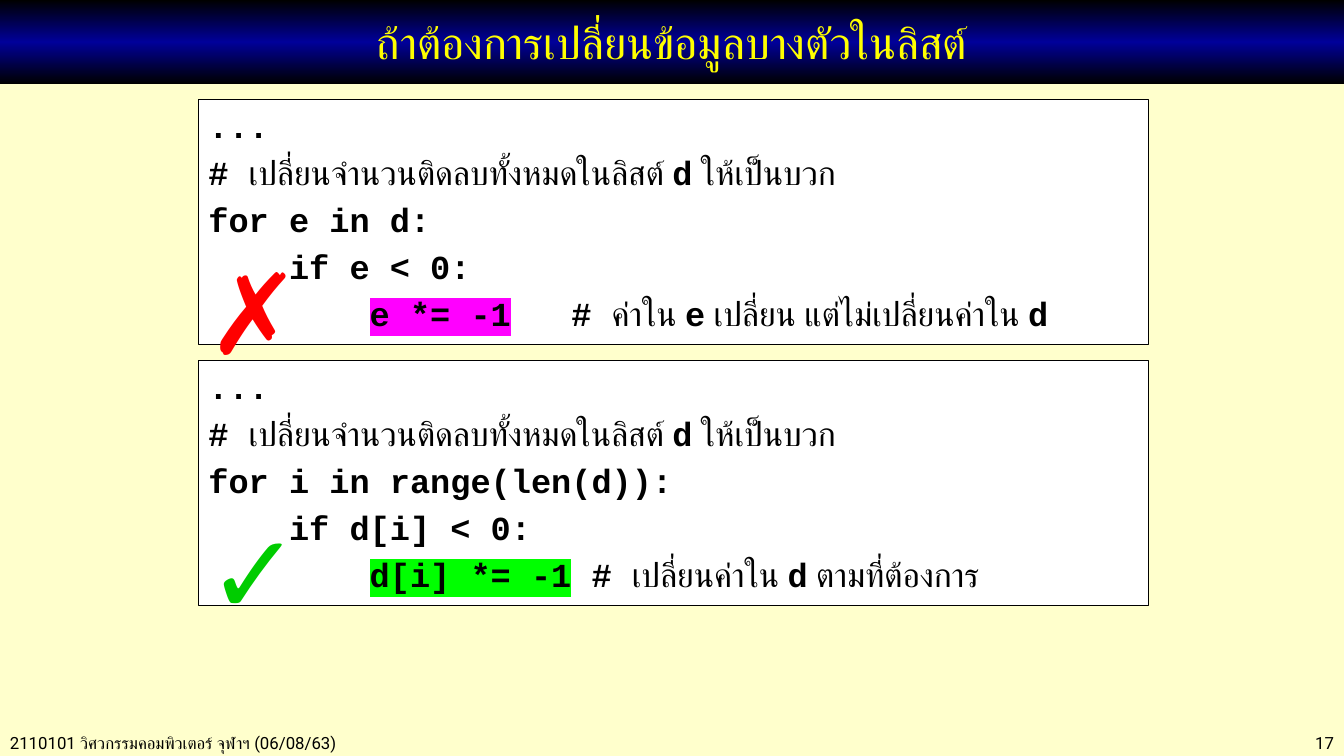
from copy import deepcopy

from lxml import etree
from pptx import Presentation
from pptx.dml.color import RGBColor
from pptx.enum.shapes import MSO_SHAPE
from pptx.enum.text import MSO_ANCHOR, PP_ALIGN
from pptx.oxml.ns import qn
from pptx.util import Pt

RECTANGLE = MSO_SHAPE.RECTANGLE
TOP, MIDDLE = MSO_ANCHOR.TOP, MSO_ANCHOR.MIDDLE
LEFT, CENTER, RIGHT = PP_ALIGN.LEFT, PP_ALIGN.CENTER, PP_ALIGN.RIGHT

COLORS = {
    "background": "FFFFCC", "black": "000000", "navy": "000099",
    "yellow": "FFFF00", "white": "FFFFFF", "wrong": "FF0000",
    "right": "00CC00", "magenta": "FF00FF", "lime": "00FF00",
}
TITLE_FONT, TEXT_FONT, CODE_FONT = "Calibri", "Roboto", "Courier New"
SLIDE_WIDTH, SLIDE_HEIGHT = 960, 540
BOX_LEFT, BOX_WIDTH, BOX_HEIGHT = 141.8, 678.6, 175


def rgb(name):
    return RGBColor.from_string(COLORS[name])


def code(text, highlight=None):
    return text, CODE_FONT, True, highlight


def thai(text):
    return text, TEXT_FONT, False, None


def add_run(paragraph, text, font_name, size, color="black", bold=False, highlight=None):
    run = paragraph.add_run()
    run.text = text
    font = run.font
    font.size, font.bold, font.name = Pt(size), bold, font_name
    font.color.rgb = rgb(color)
    properties = run._r.get_or_add_rPr()
    complex_font = etree.Element(qn("a:cs"), typeface=font_name)
    properties.find(qn("a:latin")).addnext(complex_font)
    if highlight:
        marker = etree.Element(qn("a:highlight"))
        etree.SubElement(marker, qn("a:srgbClr"), val=COLORS[highlight])
        properties.find(qn("a:solidFill")).addnext(marker)


def add_label(shapes, text, left, top, width, height, size, color="black",
              alignment=LEFT, wrap=True, anchor=TOP):
    box = shapes.add_textbox(Pt(left), Pt(top), Pt(width), Pt(height))
    frame = box.text_frame
    frame.word_wrap = wrap
    frame.vertical_anchor = anchor
    paragraph = frame.paragraphs[0]
    paragraph.alignment = alignment
    add_run(paragraph, text, TEXT_FONT, size, color)


def add_rectangle(shapes, left, top, width, height):
    shape = shapes.add_shape(RECTANGLE, Pt(left), Pt(top), Pt(width), Pt(height))
    shape.shadow.inherit = False
    shape.text_frame.word_wrap = True
    return shape


def add_title_bar(shapes, text):
    bar = add_rectangle(shapes, 0, 0, SLIDE_WIDTH, 60)
    bar.line.fill.background()
    bar.fill.gradient()
    bar.fill.gradient_angle = 270
    first_stop = bar._element.spPr.find(".//" + qn("a:gs"))
    first_stop.addnext(deepcopy(first_stop))
    for stop, position, color in zip(bar.fill.gradient_stops, (0, 0.5, 1),
                                     ("black", "navy", "black")):
        stop.position = position
        stop.color.rgb = rgb(color)
    bar.text_frame.vertical_anchor = MIDDLE
    paragraph = bar.text_frame.paragraphs[0]
    paragraph.alignment = CENTER
    add_run(paragraph, text, TITLE_FONT, 32, "yellow")


def add_example(slide, top, lines, mark, mark_color, mark_top, mark_width):
    """Group a code box with the mark that judges it."""
    shapes = slide.shapes.add_group_shape().shapes
    box = add_rectangle(shapes, BOX_LEFT, top, BOX_WIDTH, BOX_HEIGHT)
    box.fill.solid()
    box.fill.fore_color.rgb = rgb("white")
    box.line.color.rgb = rgb("black")
    box.line.width = Pt(0.75)
    frame = box.text_frame
    frame.vertical_anchor = TOP
    for index, line in enumerate(lines):
        paragraph = frame.add_paragraph() if index else frame.paragraphs[0]
        paragraph.alignment = LEFT
        if index:
            paragraph.space_before = Pt(4.8)
        for text, font_name, bold, highlight in line:
            add_run(paragraph, text, font_name, 24, bold=bold, highlight=highlight)
    add_label(shapes, mark, 141, mark_top, mark_width, 104.4, 80, mark_color, wrap=False)


def main():
    presentation = Presentation()
    presentation.slide_width, presentation.slide_height = Pt(SLIDE_WIDTH), Pt(SLIDE_HEIGHT)
    slide = presentation.slides.add_slide(presentation.slide_layouts[6])
    slide.background.fill.solid()
    slide.background.fill.fore_color.rgb = rgb("background")

    add_label(slide.shapes, "2110101 วิศวกรรมคอมพิวเตอร์ จุฬาฯ (06/08/63)",
              0, 520, 374.4, 21.6, 12, anchor=MIDDLE)
    add_label(slide.shapes, "17", 828, 520, 132, 21.6, 12, alignment=RIGHT, anchor=MIDDLE)
    add_title_bar(slide.shapes, "ถ้าต้องการเปลี่ยนข้อมูลบางตัวในลิสต์")

    opening = [
        [code("...")],
        [code("# "), thai("เปลี่ยนจำนวนติดลบทั้งหมดในลิสต์ "), code("d"), thai(" ให้เป็นบวก")],
    ]
    by_index = opening + [
        [code("for i in range(len(d)):")],
        [code("    if d[i] < 0:")],
        [code("        "), code("d[i] *= -1", "lime"), code(" # "),
         thai("เปลี่ยนค่าใน "), code("d"), thai(" ตามที่ต้องการ")],
    ]
    by_element = opening + [
        [code("for e in d:")],
        [code("    if e < 0:")],
        [code("        "), code("e *= -1", "magenta"), code("   # "), thai("ค่าใน "),
         code("e"), thai(" เปลี่ยน แต่ไม่เปลี่ยนค่าใน "), code("d")],
    ]
    add_example(slide, 257.6, by_index, "✓", "right", 355.7, 77.8)
    add_example(slide, 71.2, by_element, "✗", "wrong", 170, 66.2)

    presentation.save("out.pptx")


if __name__ == "__main__":
    main()
